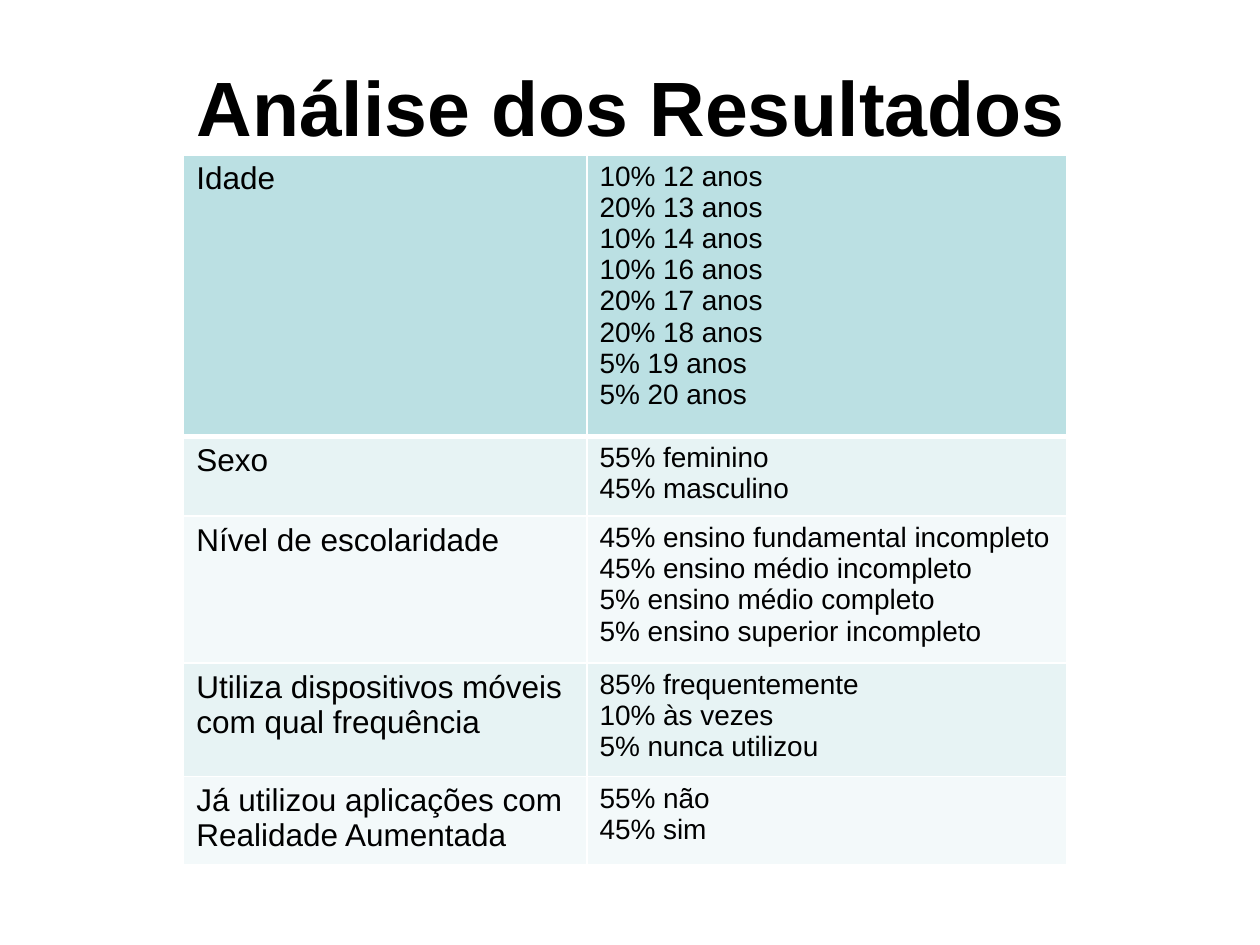
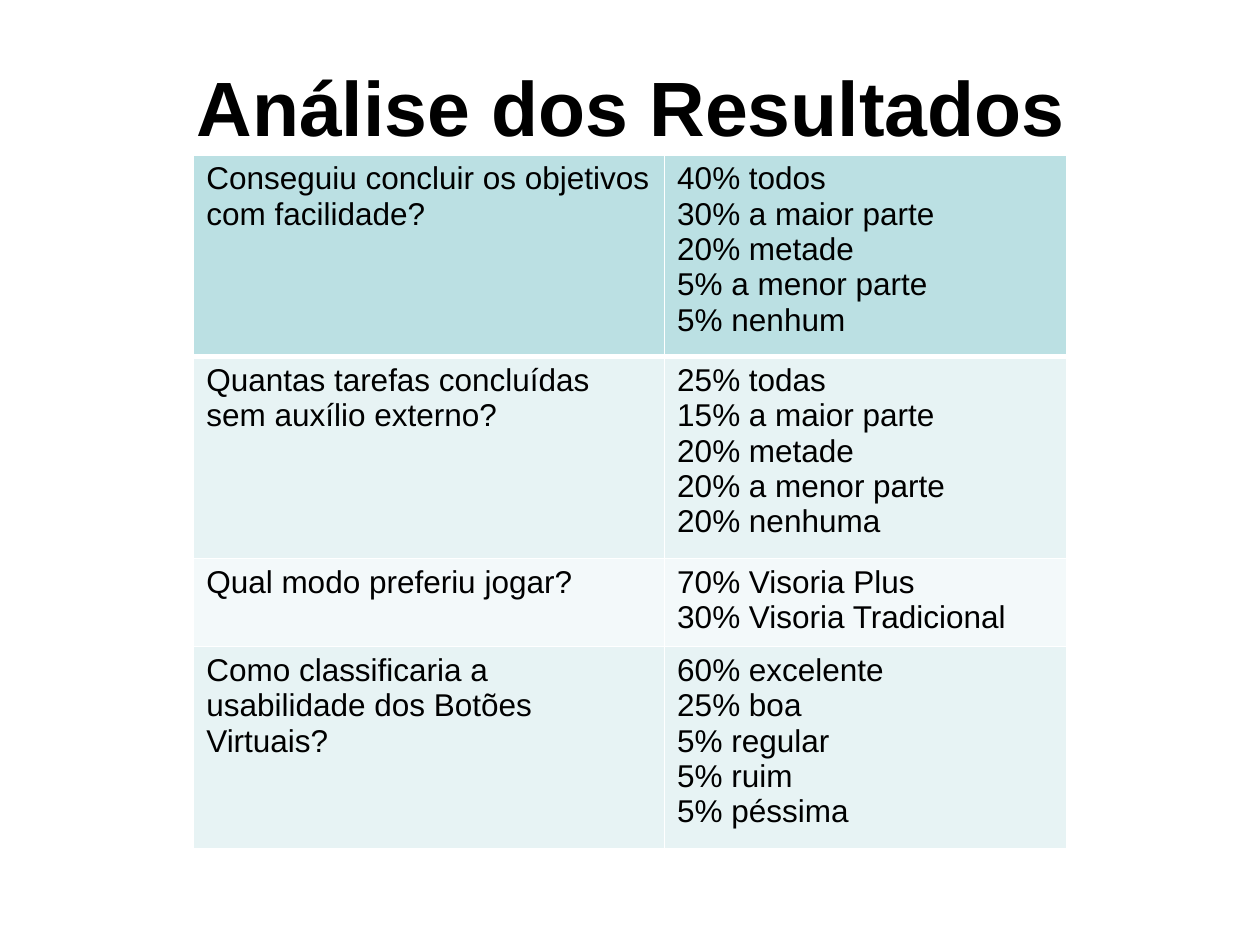
from dataclasses import dataclass

from lxml import etree
from pptx import Presentation
from pptx.dml.color import RGBColor
from pptx.enum import text
from pptx.oxml import ns
from pptx.util import Pt

TITLE = "Análise dos Resultados"

SURVEYS = [
    {
        "left": 105,
        "columns": [230.4, 274.4],
        "heights": [159, 45.4, 82.8, 64.1, 49.7],
        "answer_size": 16,
        "rows": [
            ("Idade", ["10% 12 anos", "20% 13 anos", "10% 14 anos", "10% 16 anos",
                       "20% 17 anos", "20% 18 anos", "5% 19 anos", "5% 20 anos"]),
            ("Sexo", ["55% feminino", "45% masculino"]),
            ("Nível de escolaridade", ["45% ensino fundamental incompleto",
                                       "45% ensino médio incompleto",
                                       "5% ensino médio completo",
                                       "5% ensino superior incompleto"]),
            ("Utiliza dispositivos móveis com qual frequência",
             ["85% frequentemente", "10% às vezes", "5% nunca utilizou"]),
            ("Já utilizou aplicações com Realidade Aumentada", ["55% não", "45% sim"]),
        ],
    },
    {
        "left": 110.7,
        "columns": [269.1, 229.7],
        "heights": [107.7, 107.7, 47.5, 107.7],
        "answer_size": 18,
        "rows": [
            ("Conseguiu concluir os objetivos com facilidade?",
             ["40% todos", "30% a maior parte", "20% metade", "5% a menor parte", "5% nenhum"]),
            ("Quantas tarefas concluídas sem auxílio externo?",
             ["25% todas", "15% a maior parte", "20% metade", "20% a menor parte", "20% nenhuma"]),
            ("Qual modo preferiu jogar?", ["70% Visoria Plus", "30% Visoria Tradicional"]),
            ("Como classificaria a usabilidade dos Botões Virtuais?",
             ["60% excelente", "25% boa", "5% regular", "5% ruim", "5% péssima"]),
        ],
    },
]


@dataclass(frozen=True)
class Theme:
    font: str = "Arial"
    ink: str = "000000"
    border: str = "FFFFFF"
    header: str = "BBE0E3"
    bands: tuple = ("E7F3F4", "F3F9FA")
    title_size: int = 44
    question_size: int = 18
    thin: int = 1
    thick: int = 3


THEME = Theme()
TABLE_TOP = 88.6


def write(frame, lines, size, bold=False, align=text.PP_ALIGN.LEFT):
    frame.text = "\n".join(lines)
    for para in frame.paragraphs:
        para.alignment = align
        for span in para.runs:
            span.font.name = THEME.font
            span.font.size = Pt(size)
            span.font.bold = bold
            span.font.color.rgb = RGBColor.from_string(THEME.ink)


def add_title(page):
    box = page.shapes.add_textbox(Pt(36.7), Pt(15.1), Pt(648), Pt(90))
    box.text_frame.word_wrap = True
    box.text_frame.vertical_anchor = text.MSO_ANCHOR.MIDDLE
    write(box.text_frame, [TITLE], THEME.title_size, True, text.PP_ALIGN.CENTER)


def add_borders(cell, row):
    widths = {
        "lnL": THEME.thin,
        "lnR": THEME.thin,
        "lnT": THEME.thick if row == 1 else THEME.thin,
        "lnB": THEME.thick if row == 0 else THEME.thin,
    }
    properties = cell._tc.get_or_add_tcPr()
    for side, width in widths.items():
        line = etree.SubElement(properties, ns.qn(f"a:{side}"), w=str(Pt(width)))
        fill = etree.SubElement(line, ns.qn("a:solidFill"))
        etree.SubElement(fill, ns.qn("a:srgbClr"), val=THEME.border)


def add_survey(page, survey):
    rows, columns, heights = survey["rows"], survey["columns"], survey["heights"]
    frame = page.shapes.add_table(len(rows), len(columns), Pt(survey["left"]), Pt(TABLE_TOP),
                                  Pt(sum(columns)), Pt(sum(heights)))
    table = frame.table
    table.first_row = False
    table.horz_banding = False
    for column, width in zip(table.columns, columns):
        column.width = Pt(width)
    for index, (question, answers) in enumerate(rows):
        table.rows[index].height = Pt(heights[index])
        color = THEME.bands[(index - 1) % 2] if index else THEME.header
        contents = [([question], THEME.question_size), (answers, survey["answer_size"])]
        for cell, (lines, size) in zip(table.rows[index].cells, contents):
            write(cell.text_frame, lines, size)
            add_borders(cell, index)
            cell.fill.solid()
            cell.fill.fore_color.rgb = RGBColor.from_string(color)


def main():
    deck = Presentation()
    deck.slide_width, deck.slide_height = Pt(720), Pt(540)
    for survey in SURVEYS:
        page = deck.slides.add_slide(deck.slide_layouts[6])
        add_title(page)
        add_survey(page, survey)
    deck.save("out.pptx")


if __name__ == "__main__":
    main()
